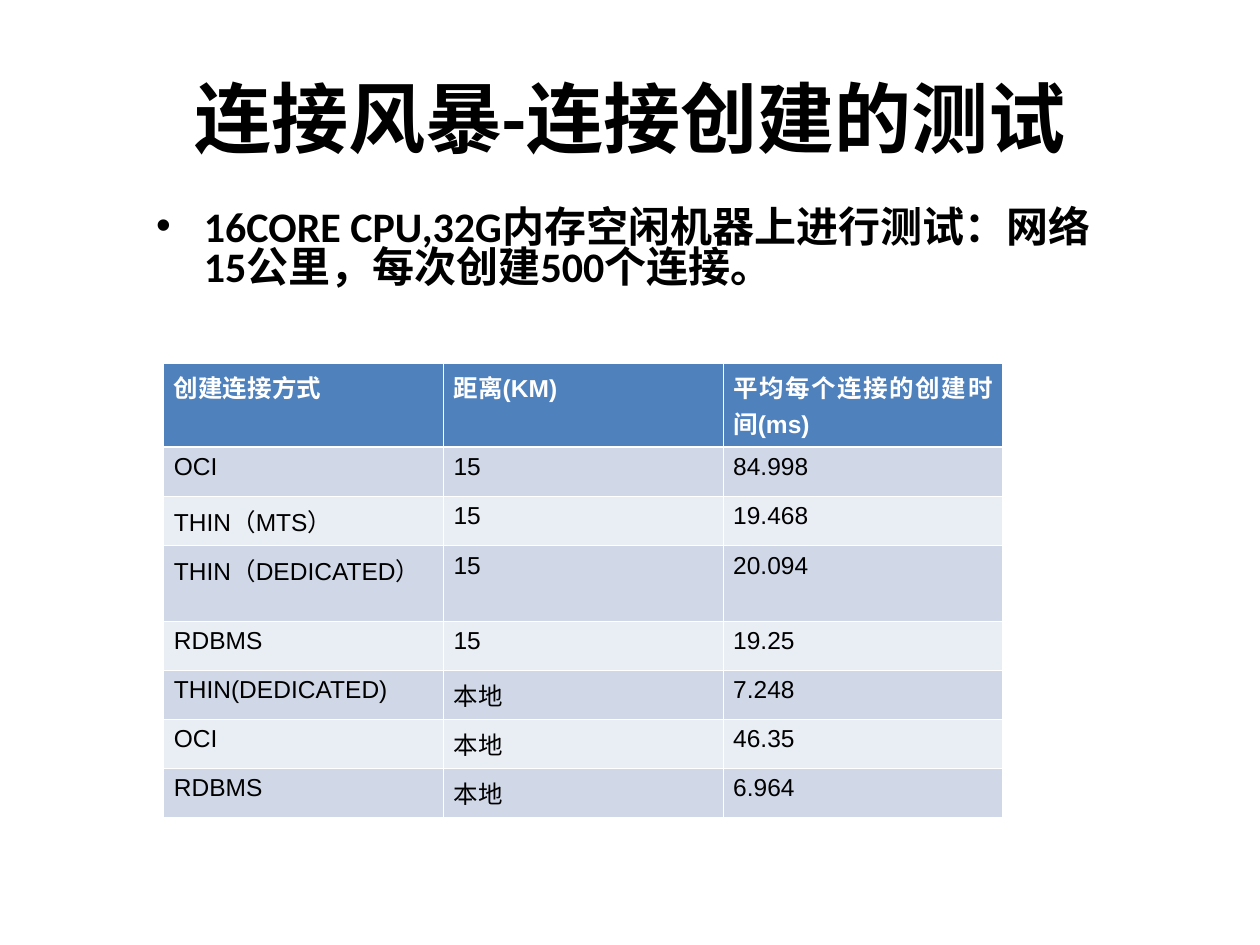
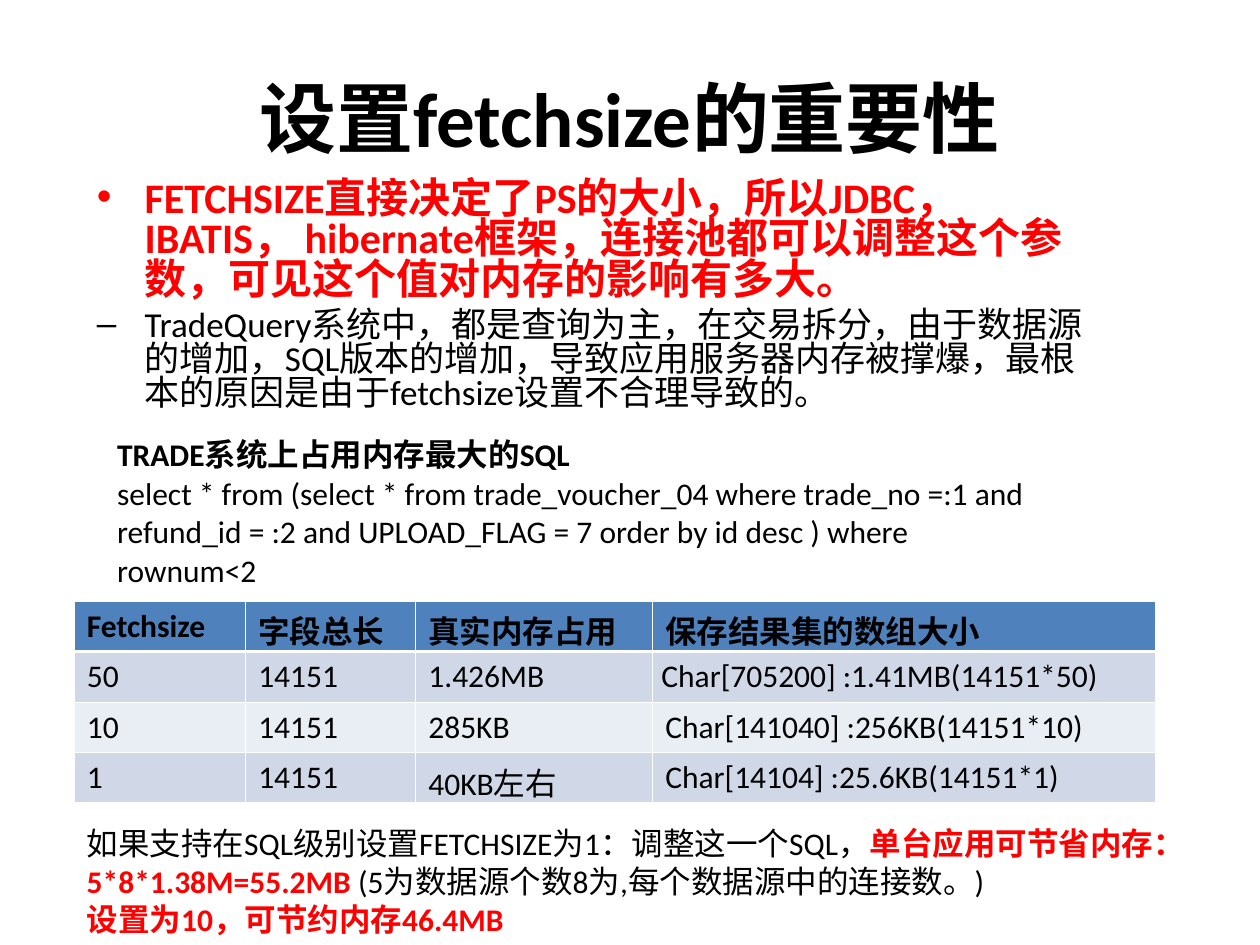
from lxml import etree
from pptx import Presentation
from pptx.dml.color import RGBColor
from pptx.enum.text import MSO_ANCHOR, PP_ALIGN
from pptx.oxml.ns import qn
from pptx.util import Inches, Pt

CENTER, LEFT, JUSTIFY = PP_ALIGN.CENTER, PP_ALIGN.LEFT, PP_ALIGN.JUSTIFY
MIDDLE = MSO_ANCHOR.MIDDLE
BLACK, WHITE, RED = "000000", "FFFFFF", "FF0000"
HEADER, BAND_DARK, BAND_LIGHT = "4F81BD", "D0D8E8", "E9EDF4"
CJK_FONT = "Noto Sans CJK SC"


def add_run(p, text, size, color=BLACK, bold=False, font="Calibri"):
    r = p.add_run()
    r.text = text
    r.font.size = Pt(size)
    r.font.bold = bold
    r.font.name = font
    r.font.color.rgb = RGBColor.from_string(color)
    rPr = r.font._element
    ea = etree.Element(qn("a:ea"), typeface=CJK_FONT)
    rPr.find(qn("a:latin")).addnext(ea)


def add_grid(s, left, top, widths, heights, rows, fills, size, head_color=BLACK,
             font="Calibri", align=LEFT, margin=0.1):
    tbl = s.shapes.add_table(len(rows), len(widths), Inches(left), Inches(top),
                             Inches(sum(widths)), Inches(sum(heights))).table
    tbl.first_row = tbl.horz_banding = False
    for col, width in zip(tbl.columns, widths):
        col.width = Inches(width)
    for i, values in enumerate(rows):
        tbl.rows[i].height = Inches(heights[i])
        for j, value in enumerate(values):
            cell = tbl.cell(i, j)
            cell.margin_left = cell.margin_right = Inches(margin)
            tf = cell.text_frame
            for k, text in enumerate(value.split("\n")):
                p = tf.add_paragraph() if k else tf.paragraphs[0]
                p.alignment = align
                head = i == 0 and k == 0
                add_run(p, text, size, head_color if head else BLACK, head, font)
            tcPr = cell._tc.get_or_add_tcPr()
            for side in ("lnL", "lnR", "lnT", "lnB"):
                thick = (i, side) in ((0, "lnB"), (1, "lnT"))
                ln = etree.SubElement(tcPr, qn("a:" + side), w=str(Pt(1.47 if thick else 0.45)))
                fill = etree.SubElement(ln, qn("a:solidFill"))
                etree.SubElement(fill, qn("a:srgbClr"), val=WHITE)
            cell.fill.solid()
            color = fills[0] if i == 0 else fills[2 - i % 2]
            cell.fill.fore_color.rgb = RGBColor.from_string(color)
    return tbl


prs = Presentation()
prs.slide_width, prs.slide_height = Inches(10), Inches(7.5)

pages = [
    ("连接风暴-连接创建的测试", (1.14, 1.62, 7.88, 0.74), [
        ("•", "16CORE CPU,32G内存空闲机器上进行测试：网络15公里，每次创建500个连接。", 24, BLACK, True, 6),
    ]),
    ("设置fetchsize的重要性", (0.67, 1.39, 8.19, 4.27), [
        ("•", "FETCHSIZE直接决定了PS的大小，所以JDBC，IBATIS， hibernate框架，连接池都可以调整这个参数，"
              "可见这个值对内存的影响有多大。", 24, RED, True, 6),
        ("–", "TradeQuery系统中，都是查询为主，在交易拆分，由于数据源的增加，SQL版本的增加，"
              "导致应用服务器内存被撑爆，最根本的原因是由于fetchsize设置不合理导致的。", 20, BLACK, False, 5),
    ]),
]
slides = []
for title, box, bullets in pages:
    s = prs.slides.add_slide(prs.slide_layouts[6])
    slides.append(s)
    tf = s.shapes.add_textbox(Inches(0.5), Inches(0.3), Inches(9), Inches(1.25)).text_frame
    tf.word_wrap = True
    tf.vertical_anchor = MIDDLE
    tf.paragraphs[0].alignment = CENTER
    add_run(tf.paragraphs[0], title, 44, bold=True)

    tf = s.shapes.add_textbox(*[Inches(v) for v in box]).text_frame
    tf.word_wrap = True
    for i, (mark, text, size, color, bold, before) in enumerate(bullets):
        p = tf.add_paragraph() if i else tf.paragraphs[0]
        p.line_spacing = 0.8
        p.space_before = Pt(before)
        pPr = p._p.get_or_add_pPr()
        pPr.set("marL", str(Inches(0.38)))
        pPr.set("indent", str(-Inches(0.38)))
        clr = etree.SubElement(pPr, qn("a:buClr"))
        etree.SubElement(clr, qn("a:srgbClr"), val=color)
        etree.SubElement(pPr, qn("a:buFont"), typeface="Arial")
        etree.SubElement(pPr, qn("a:buChar"), char=mark)
        add_run(p, text, size, color, bold)

test_slide, fetch_slide = slides
bands = (HEADER, BAND_DARK, BAND_LIGHT)

timings = [
    ("创建连接方式", "距离(KM)", "平均每个连接的创建时间(ms)"),
    ("OCI", "15", "84.998"),
    ("THIN（MTS）", "15", "19.468"),
    ("THIN（DEDICATED）", "15", "20.094"),
    ("RDBMS", "15", "19.25"),
    ("THIN(DEDICATED)", "本地", "7.248"),
    ("OCI", "本地", "46.35"),
    ("RDBMS", "本地", "6.964"),
]
two_line_rows = {0: 0.67, 3: 0.6}
heights = [two_line_rows.get(i, 0.39) for i in range(len(timings))]
add_grid(test_slide, 1.3, 2.88, [2.22] * 3, heights, timings, bands, 14,
         head_color=WHITE, font="Arial", align=JUSTIFY, margin=0.08)

sql = ("TRADE系统上占用内存最大的SQL\n"
       "select * from (select * from trade_voucher_04 where trade_no =:1 and "
       "refund_id = :2 and UPLOAD_FLAG = 7 order by id desc ) where rownum<2")
tbl = add_grid(fetch_slide, 0.83, 3.36, [7.8], [1.3], [(sql,)], (WHITE,), 18)
tbl.cell(0, 0).margin_right = Inches(0.3)

memory = [
    ("Fetchsize", "字段总长", "真实内存占用", "保存结果集的数组大小"),
    ("50", "14151", "1.426MB", "Char[705200] :1.41MB(14151*50)"),
    ("10", "14151", "285KB", "Char[141040] :256KB(14151*10)"),
    ("1", "14151", "40KB左右", "Char[14104] :25.6KB(14151*1)"),
]
tbl = add_grid(fetch_slide, 0.59, 4.77, [1.36, 1.35, 1.88, 3.99], [0.4] * 4, memory, bands, 18)
tbl.cell(1, 3).margin_left = tbl.cell(1, 3).margin_right = Inches(0.07)

savings = [
    [("如果支持在SQL级别设置FETCHSIZE为1：调整这一个SQL，", False),
     ("单台应用可节省内存：5*8*1.38M=55.2MB", True),
     (" (5为数据源个数8为,每个数据源中的连接数。)", False)],
    [("设置为10，可节约内存46.4MB", True)],
]
tf = fetch_slide.shapes.add_textbox(Inches(0.59), Inches(6.49), Inches(8.9), Inches(1)).text_frame
tf.word_wrap = True
for i, runs in enumerate(savings):
    p = tf.add_paragraph() if i else tf.paragraphs[0]
    for text, key in runs:
        add_run(p, text, 18, RED if key else BLACK, key)

prs.save("out.pptx")
